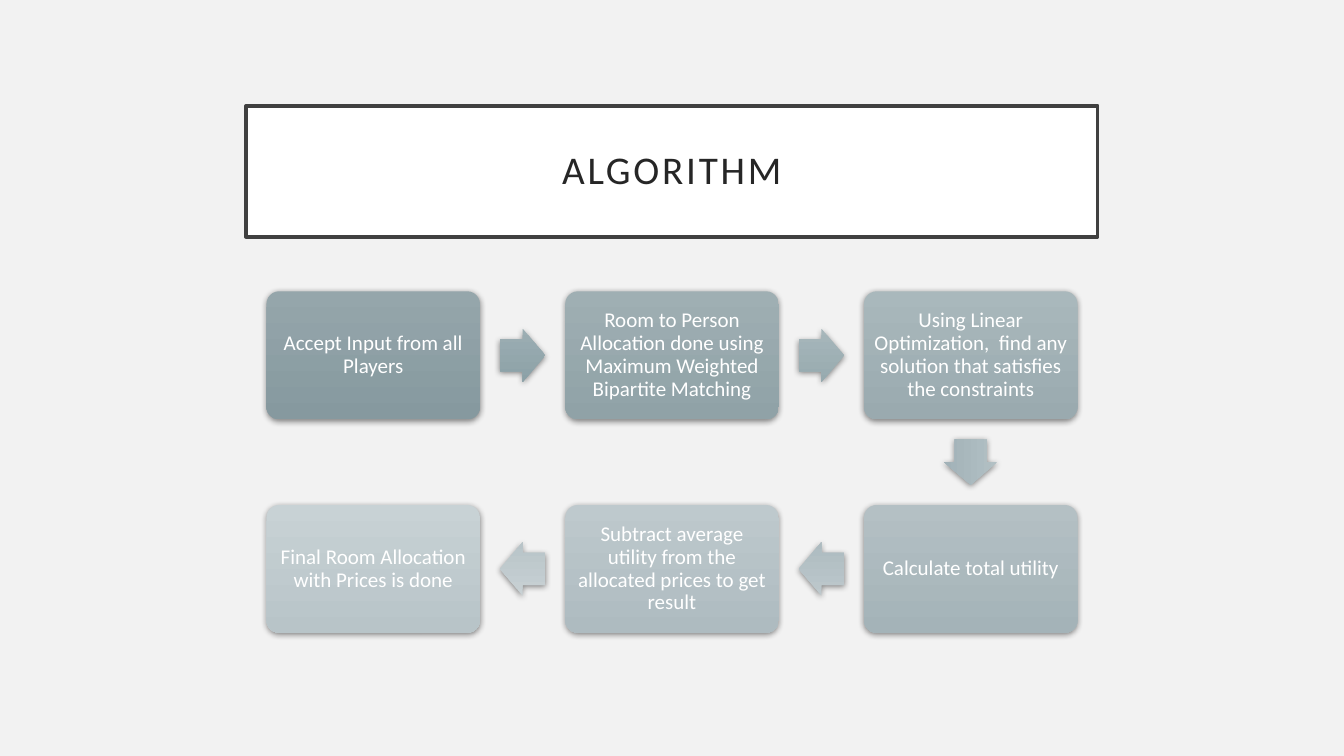
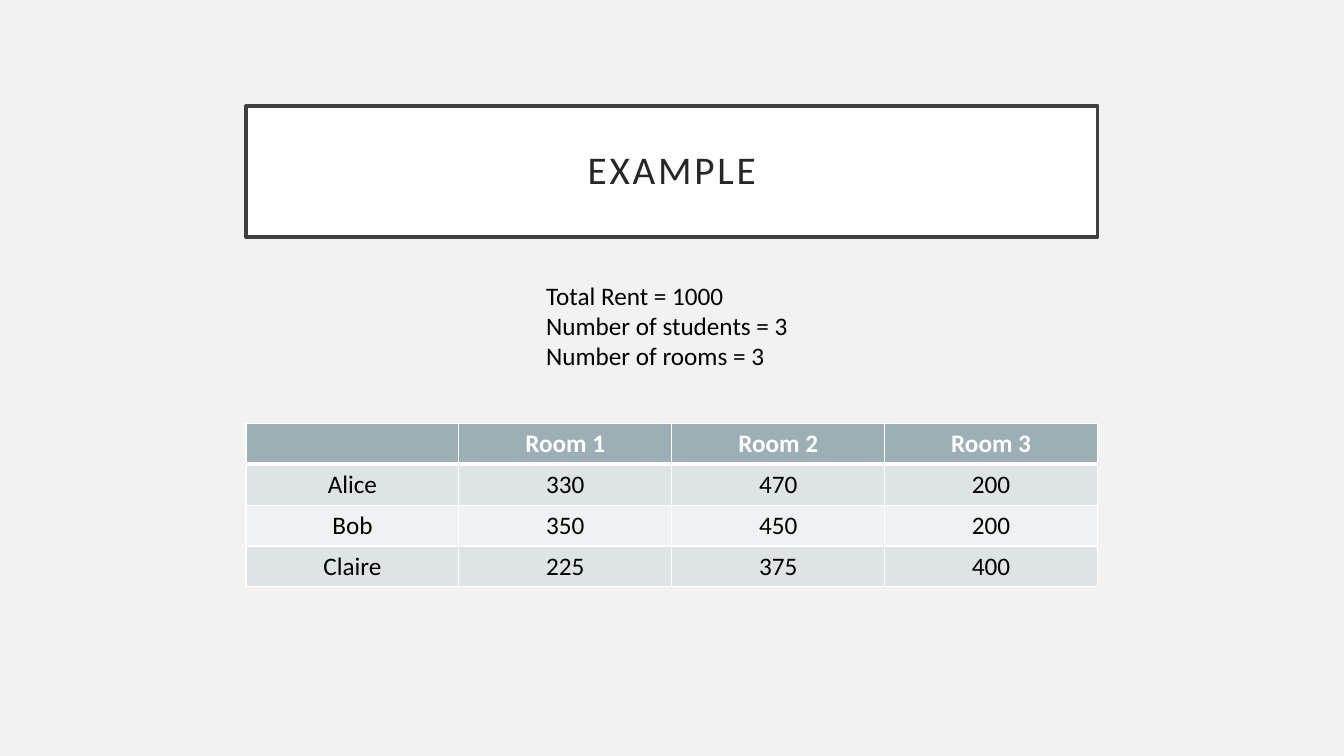
from lxml import etree
from pptx import Presentation
from pptx.dml.color import RGBColor
from pptx.enum import shapes, text
from pptx.oxml import ns
from pptx.util import Pt

BACKDROP = RGBColor(0xF2, 0xF2, 0xF2)
WHITE = RGBColor(0xFF, 0xFF, 0xFF)
BLACK = RGBColor(0x00, 0x00, 0x00)
INK = RGBColor(0x26, 0x26, 0x26)
FRAME = RGBColor(0x40, 0x40, 0x40)
HEADER = RGBColor(0x9B, 0xAF, 0xB5)
BANDS = (RGBColor(0xDE, 0xE3, 0xE5), RGBColor(0xEF, 0xF2, 0xF3))
STEP_FIRST = (RGBColor(0x95, 0xA6, 0xAB), RGBColor(0x86, 0x99, 0x9F))
STEP_LAST = (RGBColor(0xC8, 0xD2, 0xD5), RGBColor(0xB8, 0xC4, 0xC8))
ARROW_FIRST = (RGBColor(0x9C, 0xAE, 0xB3), RGBColor(0x8C, 0xA1, 0xA7))
ARROW_LAST = (RGBColor(0xC8, 0xD1, 0xD4), RGBColor(0xB8, 0xC4, 0xC8))

TITLE_BOX = (175.7, 75.6, 608.4, 93.6)
FLOW_BOX = (190.3, 208.1, 579.4, 244)
FACTS_BOX = (383, 196.6, 193, 72.7)
TABLE_BOX = (175.7, 302.4, 608.4, 116.8)

TITLE_FONT = {"name": "Calibri", "size": Pt(28), "color": INK}
STEP_FONT = {"name": "Calibri", "size": Pt(15), "color": WHITE}
BODY_FONT = {"name": "Calibri", "size": Pt(18), "color": BLACK}
HEADER_FONT = {**BODY_FONT, "color": WHITE, "bold": True}

STEPS = [
    ("Accept Input from all Players", 0, 0),
    ("Room to Person Allocation done using Maximum Weighted Bipartite Matching", 1, 0),
    ("Using Linear Optimization,  find any solution that satisfies the constraints", 2, 0),
    ("Calculate total utility", 2, 1),
    ("Subtract average utility from the allocated prices to get result", 1, 1),
    ("Final Room Allocation with Prices is done", 0, 1),
]
TURNS = (0, 0, 90, 180, 180)
FACTS = ("Total Rent = 1000", "Number of students = 3", "Number of rooms = 3")
BIDS = [
    ("", "Room 1", "Room 2", "Room 3"),
    ("Alice", "330", "470", "200"),
    ("Bob", "350", "450", "200"),
    ("Claire", "225", "375", "400"),
]


def pts(values):
    return [Pt(v) for v in values]


def set_attrs(obj, values):
    for key, value in values.items():
        setattr(obj, key, value)


def write(p, words, font, **paragraph):
    set_attrs(p, paragraph)
    r = p.add_run()
    r.text = words
    for key, value in font.items():
        if key == "color":
            r.font.color.rgb = value
        else:
            setattr(r.font, key, value)
    return r


def set_margins(target, size):
    for side in ("left", "top", "right", "bottom"):
        setattr(target, "margin_" + side, Pt(size))


def blend(first, last, share):
    return [RGBColor(*(round(a + (b - a) * share) for a, b in zip(c1, c2)))
            for c1, c2 in zip(first, last)]


def add_title(sl, words, box):
    sp = sl.shapes.title
    set_attrs(sp, dict(zip(("left", "top", "width", "height"), pts(box))))
    sp.fill.solid()
    sp.fill.fore_color.rgb = WHITE
    sp.line.color.rgb = FRAME
    sp.line.width = Pt(2.5)
    tf = sp.text_frame
    set_attrs(tf, {"word_wrap": True, "auto_size": text.MSO_AUTO_SIZE.NONE,
                   "vertical_anchor": text.MSO_ANCHOR.MIDDLE})
    set_margins(tf, 14.4)
    r = write(tf.paragraphs[0], words, TITLE_FONT,
              alignment=text.PP_ALIGN.CENTER, line_spacing=0.9)
    r.font._element.set("spc", "200")


def add_raised(sl, kind, box, adjustments, colors):
    sp = sl.shapes.add_shape(kind, *pts(box))
    for i, value in enumerate(adjustments):
        sp.adjustments[i] = value
    sp.line.fill.background()
    sp.fill.gradient()
    sp.fill.gradient_angle = 270
    for stop, color in zip(sp.fill.gradient_stops, colors):
        stop.color.rgb = color
    sp.shadow.inherit = False
    effects = sp._element.spPr.find(ns.qn("a:effectLst"))
    shadow = etree.SubElement(effects, ns.qn("a:outerShdw"), blurRad=str(Pt(4.4)),
                              dist=str(Pt(1.2)), dir="5400000", rotWithShape="0")
    color = etree.SubElement(shadow, ns.qn("a:srgbClr"), val="000000")
    etree.SubElement(color, ns.qn("a:alpha"), val="45000")
    return sp


def add_flow(sl, box):
    left, top, width, height = box
    step_w, step_h = 152.6, 91.4
    arrow_w, arrow_h = 32.4, 38.2
    pitch_x, pitch_y = (width - step_w) / 2, height - step_h
    centers = [(left + col * pitch_x + step_w / 2, top + row * pitch_y + step_h / 2)
               for _, col, row in STEPS]
    for i, ((words, _, _), (x, y)) in enumerate(zip(STEPS, centers)):
        sp = add_raised(sl, shapes.MSO_SHAPE.ROUNDED_RECTANGLE,
                        (x - step_w / 2, y - step_h / 2, step_w, step_h), [0.1],
                        blend(STEP_FIRST, STEP_LAST, i / (len(STEPS) - 1)))
        tf = sp.text_frame
        set_attrs(tf, {"word_wrap": True, "vertical_anchor": text.MSO_ANCHOR.MIDDLE})
        set_margins(tf, 4.3)
        write(tf.paragraphs[0], words, STEP_FONT,
              alignment=text.PP_ALIGN.CENTER, line_spacing=0.9)
        if i < len(TURNS):
            next_x, next_y = centers[i + 1]
            arrow = add_raised(sl, shapes.MSO_SHAPE.RIGHT_ARROW,
                               ((x + next_x - arrow_w) / 2, (y + next_y - arrow_h) / 2,
                                arrow_w, arrow_h), [0.6, 0.5],
                               blend(ARROW_FIRST, ARROW_LAST, i / (len(TURNS) - 1)))
            arrow.rotation = TURNS[i]


def add_facts(sl, box):
    tf = sl.shapes.add_textbox(*pts(box)).text_frame
    tf.word_wrap = True
    for i, fact in enumerate(FACTS):
        p = tf.add_paragraph() if i else tf.paragraphs[0]
        write(p, fact, BODY_FONT)


def add_borders(cell, widths):
    tc_pr = cell._tc.get_or_add_tcPr()
    for i, (side, width) in enumerate(widths.items()):
        ln = etree.Element(ns.qn("a:ln" + side), w=str(Pt(width)))
        fill = etree.SubElement(ln, ns.qn("a:solidFill"))
        etree.SubElement(fill, ns.qn("a:srgbClr"), val=str(WHITE))
        tc_pr.insert(i, ln)


def add_bids(sl, box):
    rows, cols = len(BIDS), len(BIDS[0])
    table = sl.shapes.add_table(rows, cols, *pts(box)).table
    for column in table.columns:
        column.width = Pt(box[2] / cols)
    for i, values in enumerate(BIDS):
        table.rows[i].height = Pt(box[3] / rows)
        for j, value in enumerate(values):
            cell = table.cell(i, j)
            cell.fill.solid()
            cell.fill.fore_color.rgb = BANDS[(i - 1) % 2] if i else HEADER
            add_borders(cell, {"L": 1, "R": 1, "T": 3 if i == 1 else 1,
                               "B": 1 if i else 3})
            if i and j:
                set_margins(cell, 0.7)
                cell.vertical_anchor = text.MSO_ANCHOR.MIDDLE
            if value:
                write(cell.text_frame.paragraphs[0], value,
                      BODY_FONT if i else HEADER_FONT, alignment=text.PP_ALIGN.CENTER)


def new_slide(prs, title):
    sl = prs.slides.add_slide(prs.slide_layouts[5])
    add_title(sl, title, TITLE_BOX)
    return sl


def algorithm_slide(prs):
    sl = new_slide(prs, "ALGORITHM")
    add_flow(sl, FLOW_BOX)


def example_slide(prs):
    sl = new_slide(prs, "EXAMPLE")
    add_bids(sl, TABLE_BOX)
    add_facts(sl, FACTS_BOX)


prs = Presentation()
set_attrs(prs, {"slide_width": Pt(960), "slide_height": Pt(540)})
backdrop = prs.slide_master.background.fill
backdrop.solid()
backdrop.fore_color.rgb = BACKDROP
algorithm_slide(prs)
example_slide(prs)
prs.save("out.pptx")
